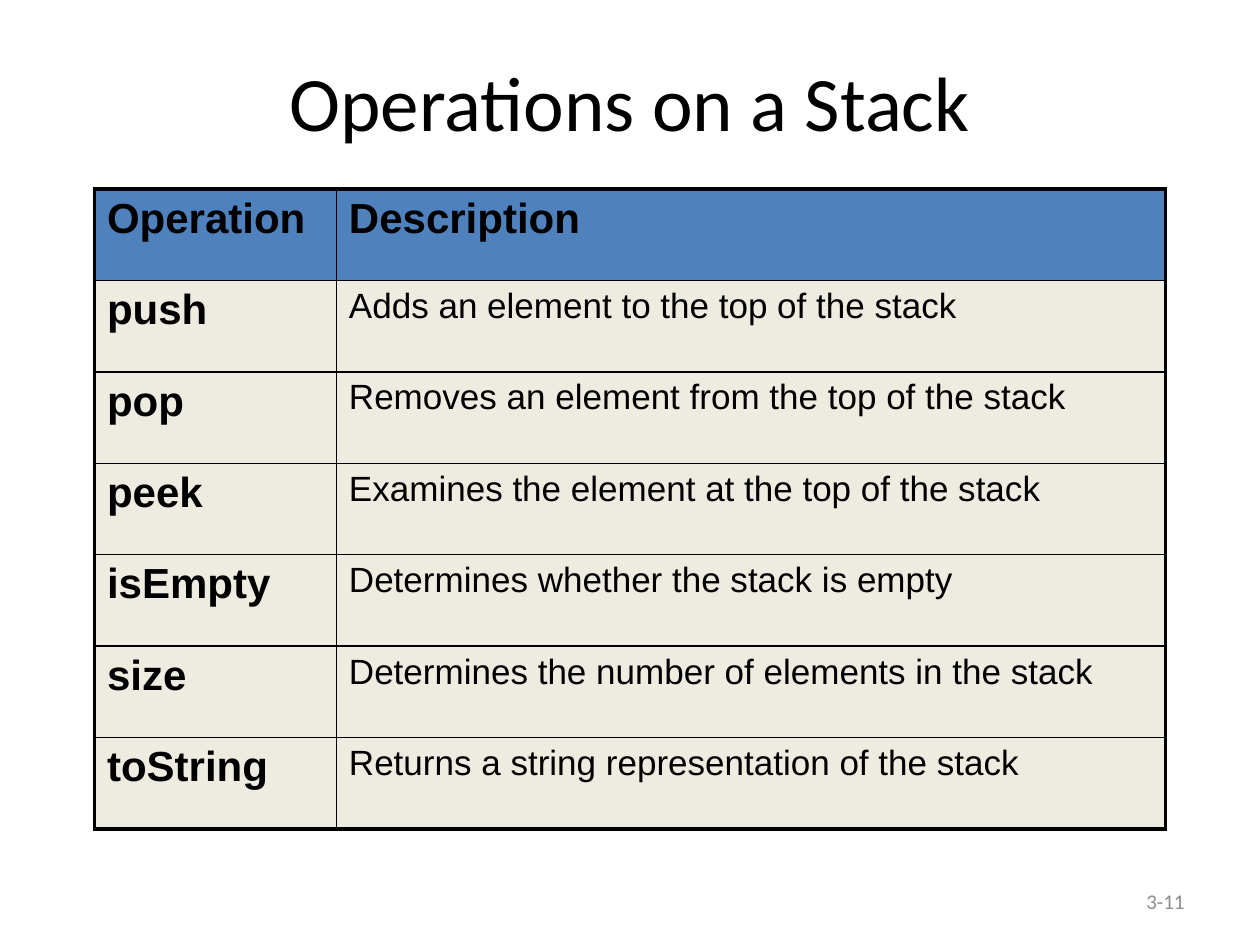
from lxml.etree import SubElement
from pptx import Presentation
from pptx.dml.color import RGBColor
from pptx.enum.text import MSO_ANCHOR, PP_ALIGN
from pptx.oxml.ns import qn
from pptx.util import Inches, Pt

BLACK, GRAY, BLUE, CREAM = "000000", "8C8C8C", "4F81BD", "EEECE1"
THIN, THICK = 1, 2.25
OPERATIONS = [
    ("Operation", "Description"),
    ("push", "Adds an element to the top of the stack"),
    ("pop", "Removes an element from the top of the stack"),
    ("peek", "Examines the element at the top of the stack"),
    ("isEmpty", "Determines whether the stack is empty"),
    ("size", "Determines the number of elements in the stack"),
    ("toString", "Returns a string representation of the stack"),
]
COLUMN_WIDTHS = (1.92, 6.58)


def color(value):
    """Turn a hex string into a color."""
    return RGBColor.from_string(value)


def write(frame, text, size, font="Arial", fill=BLACK, bold=False, align=PP_ALIGN.LEFT):
    """Put one formatted line of text in a frame."""
    paragraph = frame.paragraphs[0]
    paragraph.alignment = align
    span = paragraph.add_run()
    span.text = text
    span.font.size = Pt(size)
    span.font.name = font
    span.font.bold = bold
    span.font.color.rgb = color(fill)


def add_text(page, text, left, top, width, height, **text_format):
    """Add a wrapping text box with vertically centered text."""
    box = page.shapes.add_textbox(Inches(left), Inches(top), Inches(width), Inches(height))
    box.text_frame.word_wrap = True
    box.text_frame.vertical_anchor = MSO_ANCHOR.MIDDLE
    write(box.text_frame, text, **text_format)


def set_borders(cell, **widths):
    """Draw black cell borders with the given widths in points."""
    properties = cell._tc.get_or_add_tcPr()
    for side, width in widths.items():
        line = SubElement(properties, qn(f"a:ln{side}"), w=str(Pt(width)))
        fill = SubElement(line, qn("a:solidFill"))
        SubElement(fill, qn("a:srgbClr"), val=BLACK)


def add_operations_table(page, left, top, row_height):
    """Add the table of operations with a thick outer frame."""
    last_row, last_column = len(OPERATIONS) - 1, len(COLUMN_WIDTHS) - 1
    table = page.shapes.add_table(
        len(OPERATIONS), len(COLUMN_WIDTHS), Inches(left), Inches(top),
        Inches(sum(COLUMN_WIDTHS)), Inches(row_height * len(OPERATIONS)),
    ).table
    for column, width in zip(table.columns, COLUMN_WIDTHS):
        column.width = Inches(width)
    for row_index, texts in enumerate(OPERATIONS):
        table.rows[row_index].height = Inches(row_height)
        for column_index, text in enumerate(texts):
            cell = table.cell(row_index, column_index)
            is_header = row_index == 0
            is_label = is_header or column_index == 0
            set_borders(
                cell,
                L=THICK if column_index == 0 else THIN,
                R=THICK if column_index == last_column else THIN,
                T=THICK if is_header else THIN,
                B=THICK if row_index == last_row else THIN,
            )
            cell.fill.solid()
            cell.fill.fore_color.rgb = color(BLUE if is_header else CREAM)
            write(cell.text_frame, text, size=24 if is_label else 20, bold=is_label)


def main():
    """Build and save the slide."""
    deck = Presentation()
    deck.slide_width, deck.slide_height = Inches(10), Inches(7.5)
    page = deck.slides.add_slide(deck.slide_layouts[6])
    add_text(page, "3-11", 7.17, 6.95, 2.33, 0.4,
             size=12, font="Calibri", fill=GRAY, align=PP_ALIGN.RIGHT)
    add_text(page, "Operations on a Stack", 0.75, 0.17, 8.5, 1.25,
             size=44, font="Calibri", align=PP_ALIGN.CENTER)
    add_operations_table(page, left=0.75, top=1.5, row_height=5.08 / len(OPERATIONS))
    deck.save("out.pptx")


if __name__ == "__main__":
    main()
